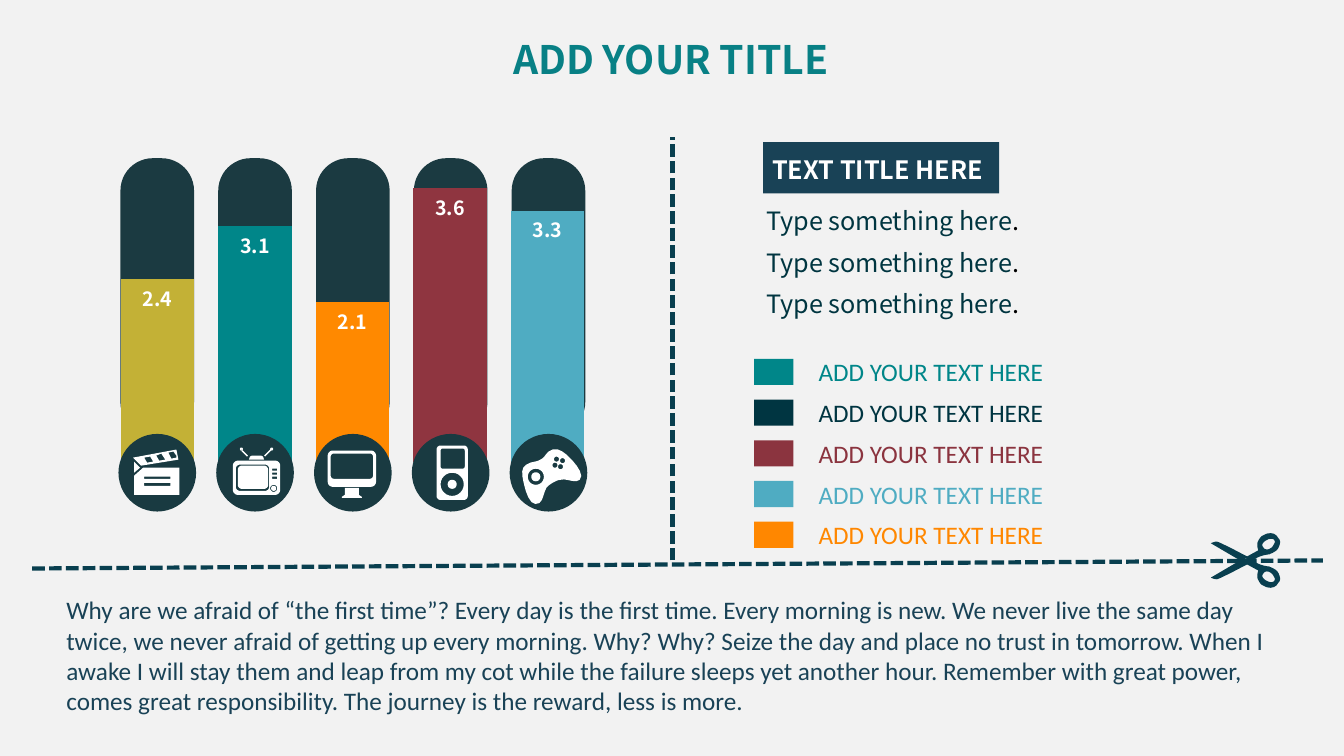
from dataclasses import dataclass
from math import cos, pi, sin

from lxml import etree
from pptx import Presentation
from pptx.chart.data import CategoryChartData
from pptx.dml.color import RGBColor
from pptx.enum.chart import XL_CHART_TYPE, XL_LABEL_POSITION
from pptx.enum.dml import MSO_LINE
from pptx.enum.shapes import MSO_CONNECTOR, MSO_SHAPE
from pptx.enum.text import MSO_AUTO_SIZE
from pptx.oxml import parse_xml
from pptx.oxml.ns import nsdecls, qn
from pptx.util import Inches, Pt

COLUMN_CLUSTERED = XL_CHART_TYPE.COLUMN_CLUSTERED
INSIDE_END = XL_LABEL_POSITION.INSIDE_END
DASH = MSO_LINE.SQUARE_DOT
STRAIGHT = MSO_CONNECTOR.STRAIGHT
RECTANGLE, ROUNDED, OVAL = MSO_SHAPE.RECTANGLE, MSO_SHAPE.ROUNDED_RECTANGLE, MSO_SHAPE.OVAL
FIT_TEXT = MSO_AUTO_SIZE.SHAPE_TO_FIT_TEXT

CELL = 0.1  # inches in one grid column or row
HEADING_FONT, BODY_FONT = "Noto Sans CJK SC", "Calibri"
WHITE, DARK, NAVY, CUT = "FFFFFF", "1B3A41", "194256", "093F4F"
BODY = ("Why are we afraid of “the first time”? Every day is the first time. Every morning is new. "
        "We never live the same day twice, we never afraid of getting up every morning. Why? Why? "
        "Seize the day and place no trust in tomorrow. When I awake I will stay them and leap from "
        "my cot while the failure sleeps yet another hour. Remember with great power, comes great "
        "responsibility. The journey is the reward, less is more.")

Contour = list[tuple[float, float]]


def outline(segments: str) -> Contour:
    """Points of a contour: two numbers make a line, six make a Bézier curve."""
    points: Contour = []
    for segment in segments.split("|"):
        numbers = [float(number) for number in segment.split()]
        *controls, end = list(zip(numbers[::2], numbers[1::2]))
        if controls:
            knots = [points[-1], *controls, end]
            for t in (0.2, 0.4, 0.6, 0.8):
                weights = ((1 - t) ** 3, 3 * t * (1 - t) ** 2, 3 * t * t * (1 - t), t ** 3)
                points.append(tuple(sum(weight * knot[axis] for weight, knot in zip(weights, knots))
                                    for axis in (0, 1)))
        points.append(end)
    return points


def box(left: float, top: float, right: float, bottom: float, radius: float = 0) -> Contour:
    """A rectangle whose corners are rounded by the radius."""
    corners = ((right - radius, bottom - radius), (left + radius, bottom - radius),
               (left + radius, top + radius), (right - radius, top + radius))
    steps = 6 if radius else 0
    return [(x + radius * cos(angle), y + radius * sin(angle))
            for quarter, (x, y) in enumerate(corners)
            for angle in ((quarter + step / max(steps, 1)) * pi / 2 for step in range(steps + 1))]


def disc(x: float, y: float, radius: float) -> Contour:
    return box(x - radius, y - radius, x + radius, y + radius, radius)


CLAPPER = [outline(segments) for segments in (
    "-17 -5|-23 -11|-23 0", "21 -13|19 -23|-24 -15|-16 -7",
    "16 -21|19 -17|19 -15|14 -14|11 -20", "4 -19|8 -13|2 -12|-1 -17",
    "-7 -16|-4 -11|-10 -10|-13 -15", "-14 -5|-23 3|-23 22|22 22|22 -5",
)] + [box(-13, 4, 13, 6), box(-13, 10, 13, 13)]
TELEVISION = [
    box(-22, -12, 25, 22, 5), box(-19, -8, 14, 18, 4), box(-17, -7, 13, 16, 4),
    disc(18.5, 15.5, 3.5), disc(18.5, 15.5, 2.5),
    *(box(17, top, 22, top + 2) for top in (-4, 0, 4)),
    outline("-6 -13|-5 -16|-3 -17|6 -17|8 -16|9 -13"),
    outline("10 -16|9 -17|15 -23|16 -22"), disc(16.5, -23.5, 1.5),
    outline("-8 -16|-7 -17|-13 -23|-14 -22"), disc(-13.5, -23.5, 1.5),
]
MONITOR = [box(-25, -22, 23, 14, 5), box(-22, -19, 20, 6, 3),
           outline("6 22|6 15|-8 15|-8 22|-11 24|-11 25|9 25|9 24")]
PLAYER = [box(-14, -27, 17, 27, 4), box(-10, -24, 14, -4, 2), disc(1.5, 11.5, 11.5), disc(1.5, 11.5, 4.5)]
GAMEPAD = [
    outline("21 -15|15 -21 8 -27 0 -21|-3 -18 -4 -15 -8 -13|-11 -11 -15 -11 -18 -10"
            "|-27 -7 -27 -1 -25 8|-24 13 -20 31 -13 31|-5 32 -5 19 -2 15|0 12 8 7 12 7"
            "|17 5 27 11 31 7|37 2 25 -11 21 -15"),
    disc(-12.5, 4, 8), disc(-12.5, 4, 4.5),
    *(disc(x, y, 2.5) for x, y in ((8, -13.5), (6.5, -7.5), (12, -6), (14, -12))),
]
BLADE = outline("8 0|10 -2 15 -5 23 -6|24 -6|25 -7 27 -7 28 -8|32 -10 33 -12 34 -15|35 -18 35 -20 33 -22"
                "|31 -27 24 -29 18 -25|15 -24 13 -20 12 -17|12 -15 12 -13 13 -10|2 -4"
                "|-6 -8 -23 -17 -26 -18|-29 -20 -34 -17 -34 -17|-5 0")
FINGER_HOLE = outline("29 -20|30 -18 29 -17 29 -17|28 -15 27 -13 25 -12|22 -10 19 -11 18 -13"
                      "|17 -14 17 -15 17 -16|18 -18 19 -19 21 -20|24 -22 28 -22 29 -20")


def mirrored(contour: Contour) -> Contour:
    return [(x, -y) for x, y in reversed(contour)]


SCISSORS = [BLADE + mirrored(BLADE), FINGER_HOLE, mirrored(FINGER_HOLE), disc(0.5, 0, 1.8)]


@dataclass
class Bar:
    value: float
    color: str
    icon: list[Contour]


@dataclass
class Style:
    size: int
    color: str
    name: str = BODY_FONT
    bold: bool = False


BARS = [Bar(2.4, "C3B136", CLAPPER), Bar(3.1, "008689", TELEVISION), Bar(2.1, "FF8900", MONITOR),
        Bar(3.6, "8F3540", PLAYER), Bar(3.3, "4FACC2", GAMEPAD)]
BAR_CENTERS = [15.6 + 9.7 * index for index in range(len(BARS))]
LEGEND = ["008689", "003541", "8B343F", "4FACC2", "FF8700"]

presentation = Presentation()
presentation.slide_width, presentation.slide_height = Inches(13.33), Inches(7.5)
slide = presentation.slides.add_slide(presentation.slide_layouts[6])


def color_of(value: str) -> RGBColor:
    return RGBColor.from_string(value)


def cells(*values: float) -> list[int]:
    return [Inches(value * CELL) for value in values]


def paint(shape, color: str) -> None:
    shape.shadow.inherit = False
    shape.fill.solid()
    shape.fill.fore_color.rgb = color_of(color)
    shape.line.fill.background()


def add_block(kind: MSO_SHAPE, left: float, top: float, width: float, height: float, color: str):
    shape = slide.shapes.add_shape(kind, *cells(left, top, width, height))
    paint(shape, color)
    return shape


def add_icon(contours: list[Contour], x: float, y: float, color: str) -> None:
    """Draw contours, given in tenths of a cell, around a centre."""
    scaled = [[(10 * px, 10 * py) for px, py in contour] for contour in contours]
    builder = slide.shapes.build_freeform(*scaled[0][0], scale=Inches(CELL) / 100)
    for index, (start, *rest) in enumerate(scaled):
        if index:
            builder.move_to(*start)
        builder.add_line_segments(rest, close=True)
    paint(builder.convert_to_shape(*cells(x, y)), color)


def format_font(font, style: Style) -> None:
    for attribute, value in {"size": Pt(style.size), "name": style.name, "bold": style.bold}.items():
        setattr(font, attribute, value)
    font.color.rgb = color_of(style.color)


def add_text(left: float, top: float, width: float, height: float,
             runs: list[tuple[str, Style]], wrap: bool = True) -> None:
    frame = slide.shapes.add_textbox(*cells(left, top, width, height)).text_frame
    frame.word_wrap = wrap
    frame.auto_size = FIT_TEXT
    for text, style in runs:
        run = frame.paragraphs[0].add_run()
        run.text = text
        format_font(run.font, style)


def add_cut_line(*ends: float) -> None:
    connector = slide.shapes.add_connector(STRAIGHT, *cells(*ends))
    connector.line.color.rgb = color_of(CUT)
    connector.line.width = Pt(3)
    connector.line.dash_style = DASH
    etree.SubElement(connector._element.spPr, qn("a:effectLst"))


def add_bar_chart() -> None:
    data = CategoryChartData()
    data.categories = [str(index + 1) for index in range(len(BARS))]
    data.add_series("Series 1", [bar.value for bar in BARS])
    chart = slide.shapes.add_chart(COLUMN_CLUSTERED, *cells(10.1, 12.7, 49.9, 33.3), data).chart
    format_font(chart.font, Style(10, "000000"))
    chart.has_legend = chart.has_title = False
    chart.category_axis.visible = chart.value_axis.visible = False
    chart.value_axis.has_major_gridlines = False
    chart.value_axis.minimum_scale, chart.value_axis.maximum_scale = 0, 4
    plot = chart.plots[0]
    plot.gap_width, plot.overlap, plot.vary_by_categories = 33, -100, False
    series = plot.series[0]
    for index, bar in enumerate(BARS):
        fill = series.points[index].format.fill
        fill.solid()
        fill.fore_color.rgb = color_of(bar.color)
    labels = series.data_labels
    labels.show_value, labels.position = True, INSIDE_END
    format_font(labels.font, Style(14, WHITE, HEADING_FONT, True))
    area = chart._chartSpace.chart.plotArea
    for old_layout in area.findall(qn("c:layout")):
        area.remove(old_layout)
    places = {"layoutTarget": "inner", "xMode": "edge", "yMode": "edge",
              "x": 0.014, "y": 0.088, "w": 0.969, "h": 0.908}
    tags = "".join(f'<c:{tag} val="{value}"/>' for tag, value in places.items())
    area.insert(0, parse_xml(f'<c:layout {nsdecls("c")}><c:manualLayout>{tags}</c:manualLayout></c:layout>'))


def main() -> None:
    slide.background.fill.solid()
    slide.background.fill.fore_color.rgb = color_of("F2F2F2")
    for center in BAR_CENTERS:
        add_block(ROUNDED, center - 3.65, 15.7, 7.3, 27.4, DARK).adjustments[0] = 0.44
    add_bar_chart()
    add_cut_line(66.7, 55.6, 66.7, 13.6)
    add_cut_line(3.2, 56.4, 131.2, 55.6)
    add_icon(SCISSORS, 123.5, 55.6, CUT)
    add_text(49.9, 3, 35.6, 5.7, [("ADD YOUR TITLE", Style(28, "088085", HEADING_FONT, True))], wrap=False)
    add_text(5.6, 58.5, 123.6, 13.1, [(BODY, Style(18, NAVY))])
    for center, bar in zip(BAR_CENTERS, BARS):
        add_block(OVAL, center - 3.85, 43.05, 7.7, 7.7, "193A41")
        add_icon(bar.icon, center, 46.9, WHITE)
    add_block(RECTANGLE, 75.7, 14.1, 23.4, 5.1, NAVY)
    add_text(75.6, 14.8, 24, 4, [("TEXT TITLE HERE", Style(18, WHITE, HEADING_FONT, True))])
    for row in range(3):
        add_text(75, 19.9 + 4.1 * row, 28.1, 4, [("Type something here", Style(18, "003540", HEADING_FONT)),
                                                 (".", Style(18, "000000", HEADING_FONT))], wrap=False)
    for row, color in enumerate(LEGEND):
        top = 35.6 + 4.04 * row
        add_block(RECTANGLE, 74.8, top, 3.9, 2.6, color)
        add_text(80.2, top - 0.7, 26, 4, [("ADD YOUR TEXT HERE", Style(18, color))])
    presentation.save("out.pptx")


if __name__ == "__main__":
    main()
